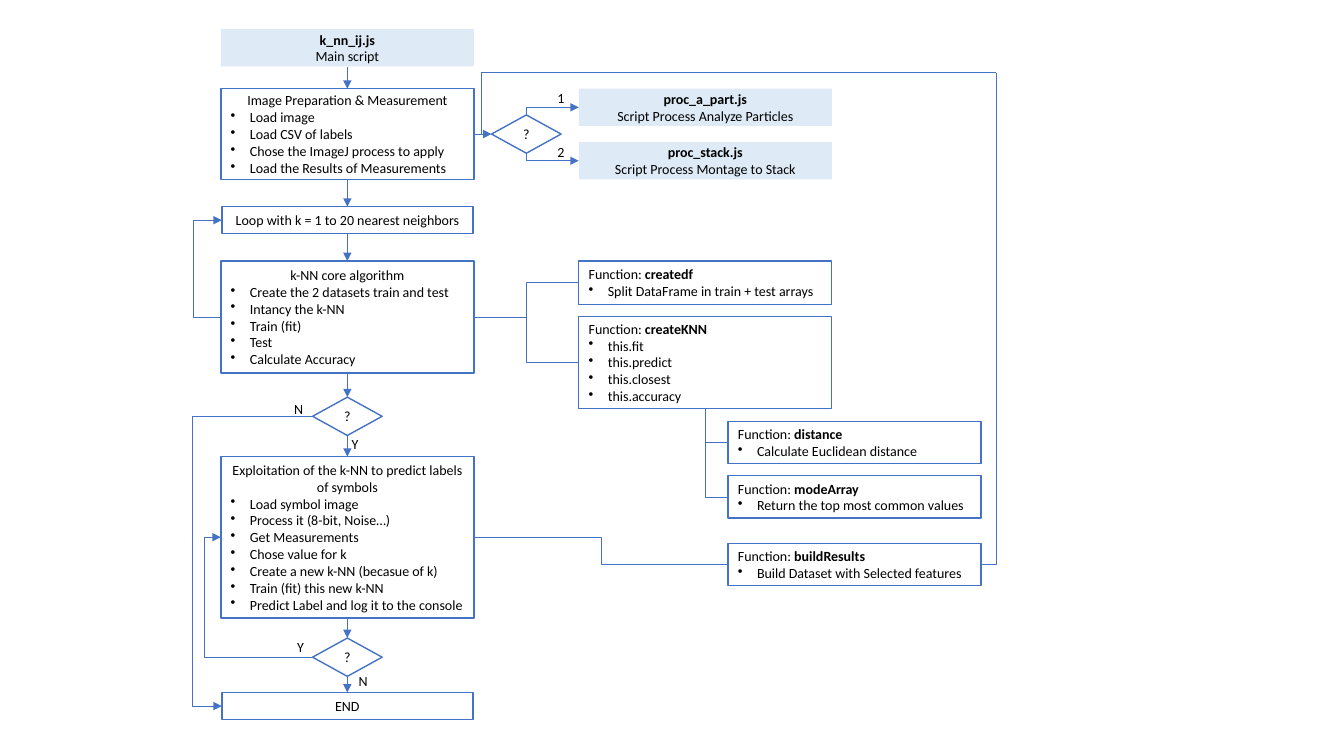
from dataclasses import dataclass
from lxml.etree import SubElement
from pptx import Presentation
from pptx.dml.color import RGBColor
from pptx.enum.shapes import MSO_CONNECTOR, MSO_SHAPE
from pptx.enum.text import MSO_ANCHOR, MSO_AUTO_SIZE, PP_ALIGN
from pptx.oxml.ns import qn
from pptx.util import Inches, Pt

TOP, LEFT, BOTTOM, RIGHT = range(4)


@dataclass
class Theme:
    font: str = "Calibri"
    size: float = 10
    ink: str = "000000"
    blue: str = "4472C4"
    pale: str = "DEEBF7"
    edge: float = 1
    thin: float = 0.5


def unit(count):
    """Length of grid columns or rows, ten to the inch."""
    return Inches(count / 10)


class Chart:
    def __init__(self, slide, theme):
        self.shapes = slide.shapes
        self.theme = theme

    def add_text(self, para, text, bold=False):
        font = para.font
        font.name, font.size, font.bold = self.theme.font, Pt(self.theme.size), bold
        font.color.rgb = RGBColor.from_string(self.theme.ink)
        para.add_run().text = text

    def fill(self, frame, heads, items=(), align=PP_ALIGN.CENTER):
        """Heads are (text, bold) pairs; items become bullets."""
        rows = [*heads, *((item, False) for item in items)]
        for i, (text, bold) in enumerate(rows):
            para = frame.add_paragraph() if i else frame.paragraphs[0]
            self.add_text(para, text, bold)
            para.alignment = align if i < len(heads) else PP_ALIGN.LEFT
            if i >= len(heads):
                props = para._p.get_or_add_pPr()
                props.set("marL", str(Inches(0.19)))
                props.set("indent", str(-Inches(0.19)))
                mark = SubElement(props, qn("a:buChar"))
                mark.set("char", "•")
                props.insert(0, mark)

    def box(self, spot, heads, items=(), kind=MSO_SHAPE.RECTANGLE,
            solid=False, align=PP_ALIGN.CENTER):
        shape = self.shapes.add_shape(kind, *map(unit, spot))
        shape.shadow.inherit = False
        if solid:
            shape.fill.solid()
            shape.fill.fore_color.rgb = RGBColor.from_string(self.theme.pale)
            shape.line.fill.background()
        else:
            shape.fill.background()
            shape.line.color.rgb = RGBColor.from_string(self.theme.blue)
            shape.line.width = Pt(self.theme.edge)
        frame = shape.text_frame
        frame.word_wrap = True
        frame.vertical_anchor = MSO_ANCHOR.MIDDLE
        self.fill(frame, heads, items, align)
        return shape

    def script(self, x, y, name, note):
        return self.box((x, y, 25.1, 3.7), [(name, True), (note, False)], solid=True)

    def step(self, spot, title, items=()):
        return self.box(spot, [(title, False)], items)

    def func(self, spot, name, items):
        shape = self.box(spot, [("Function: ", False)], items, align=PP_ALIGN.LEFT)
        run = shape.text_frame.paragraphs[0].add_run()
        run.text, run.font.bold = name, True
        return shape

    def ask(self, x, y):
        return self.box((x, y, 6.9, 3.8), [("?", False)],
                        kind=MSO_SHAPE.FLOWCHART_DECISION)

    def label(self, x, y, text):
        frame = self.shapes.add_textbox(*map(unit, (x, y, 2.7, 2.7))).text_frame
        frame.word_wrap = False
        frame.auto_size = MSO_AUTO_SIZE.SHAPE_TO_FIT_TEXT
        self.fill(frame, [(text, False)], align=PP_ALIGN.LEFT)

    def link(self, start, end, arrow=None, via=None, corner=False):
        """Ends are (shape, side) or (column, row); via is the column of the bend."""
        bent = corner or via is not None
        kind = MSO_CONNECTOR.ELBOW if bent else MSO_CONNECTOR.STRAIGHT
        line = self.shapes.add_connector(kind, 0, 0, 0, 0)
        if hasattr(start[0], "shape_id"):
            line.begin_connect(*start)
        else:
            line.begin_x, line.begin_y = map(unit, start)
        if hasattr(end[0], "shape_id"):
            line.end_connect(*end)
        else:
            line.end_x, line.end_y = map(unit, end)
        line.line.color.rgb = RGBColor.from_string(self.theme.blue)
        line.line.width = Pt(self.theme.thin)
        props = line.element.spPr
        shape = props.find(qn("a:prstGeom"))
        if corner:
            shape.set("prst", "bentConnector2")
        elif bent:
            share = (unit(via) - line.begin_x) / (line.end_x - line.begin_x)
            guide = SubElement(shape.find(qn("a:avLst")), qn("a:gd"))
            guide.set("name", "adj1")
            guide.set("fmla", f"val {round(share * 100000)}")
        if arrow:
            SubElement(props.find(qn("a:ln")), qn(f"a:{arrow}End")).set("type", "triangle")
        SubElement(props, qn("a:effectLst"))


def main():
    deck = Presentation()
    deck.slide_width, deck.slide_height = Inches(13.33), Inches(7.5)
    chart = Chart(deck.slides.add_slide(deck.slide_layouts[6]), Theme())
    main_x, side_x, sub_x, wide = 21.9, 57.4, 72.2, 25.1

    # Scripts
    script = chart.script(main_x, 2.9, "k_nn_ij.js", "Main script")
    part = chart.script(side_x, 8.8, "proc_a_part.js", "Script Process Analyze Particles")
    stack = chart.script(side_x, 14.1, "proc_stack.js", "Script Process Montage to Stack")

    # Main flow
    prep = chart.step((main_x, 8.8, wide, 9), "Image Preparation & Measurement", [
        "Load image", "Load CSV of labels", "Chose the ImageJ process to apply",
        "Load the Results of Measurements"])
    loop = chart.step((22, 20.5, 24.9, 2.7), "Loop with k = 1 to 20 nearest neighbors")
    core = chart.step((main_x, 25.9, wide, 11.1), "k-NN core algorithm", [
        "Create the 2 datasets train and test", "Intancy the k-NN", "Train (fit)",
        "Test", "Calculate Accuracy"])
    good = chart.ask(31, 39.4)
    use = chart.step(
        (main_x, 45.3, wide, 16), "Exploitation of the k-NN to predict labels of symbols", [
            "Load symbol image", "Process it (8-bit, Noise…)", "Get Measurements",
            "Chose value for k", "Create a new k-NN (becasue of k)",
            "Train (fit) this new k-NN", "Predict Label and log it to the console"])
    more = chart.ask(31, 63.3)
    stop = chart.step((22, 68.7, 24.9, 2.7), "END")
    mode = chart.ask(48.75, 11.4)

    # Functions
    frame = chart.func((side_x, 25.9, wide, 4.3), "createdf",
                       ["Split DataFrame in train + test arrays"])
    model = chart.func((side_x, 31.4, wide, 9.1), "createKNN",
                       ["this.fit", "this.predict", "this.closest", "this.accuracy"])
    far = chart.func((sub_x, 41.8, wide, 4.2), "distance", ["Calculate Euclidean distance"])
    top = chart.func((sub_x, 47.2, wide, 4.2), "modeArray",
                     ["Return the top most common values"])
    build = chart.func((sub_x, 53.9, wide, 4.2), "buildResults",
                       ["Build Dataset with Selected features"])

    # Downward arrows
    flow = [script, prep, loop, core, good, use, more, stop]
    for above, below in zip(flow, flow[1:]):
        chart.link((above, BOTTOM), (below, TOP), "tail")

    # Choice of process
    chart.link((prep, RIGHT), (mode, LEFT), "tail")
    chart.link((part, LEFT), (mode, TOP), "head", corner=True)
    chart.link((stack, LEFT), (mode, BOTTOM), "head", corner=True)

    # Loops back and exit
    chart.link((core, LEFT), (loop, LEFT), "tail", via=19.1)
    chart.link((more, LEFT), (use, LEFT), "tail", via=20.3)
    chart.link((good, LEFT), (stop, LEFT), "tail", via=19.1)

    # Links to functions
    for func in (frame, model):
        chart.link((core, RIGHT), (func, LEFT), via=52.2)
    for func in (far, top):
        chart.link((func, LEFT), (model, BOTTOM), corner=True)
    chart.link((use, RIGHT), (build, LEFT), via=59.6)
    chart.link((build, RIGHT), (98.8, 7.2), corner=True)
    chart.link((98.8, 7.2), (prep, RIGHT), via=47.7)

    # Branch labels
    for x, y, text in ((54.3, 8.4, "1"), (54.3, 13.7, "2"), (33.9, 42.7, "Y"),
                       (28.5, 62.9, "Y"), (34.6, 66.2, "N"), (28.2, 39.2, "N")):
        chart.label(x, y, text)

    deck.save("out.pptx")


if __name__ == "__main__":
    main()
